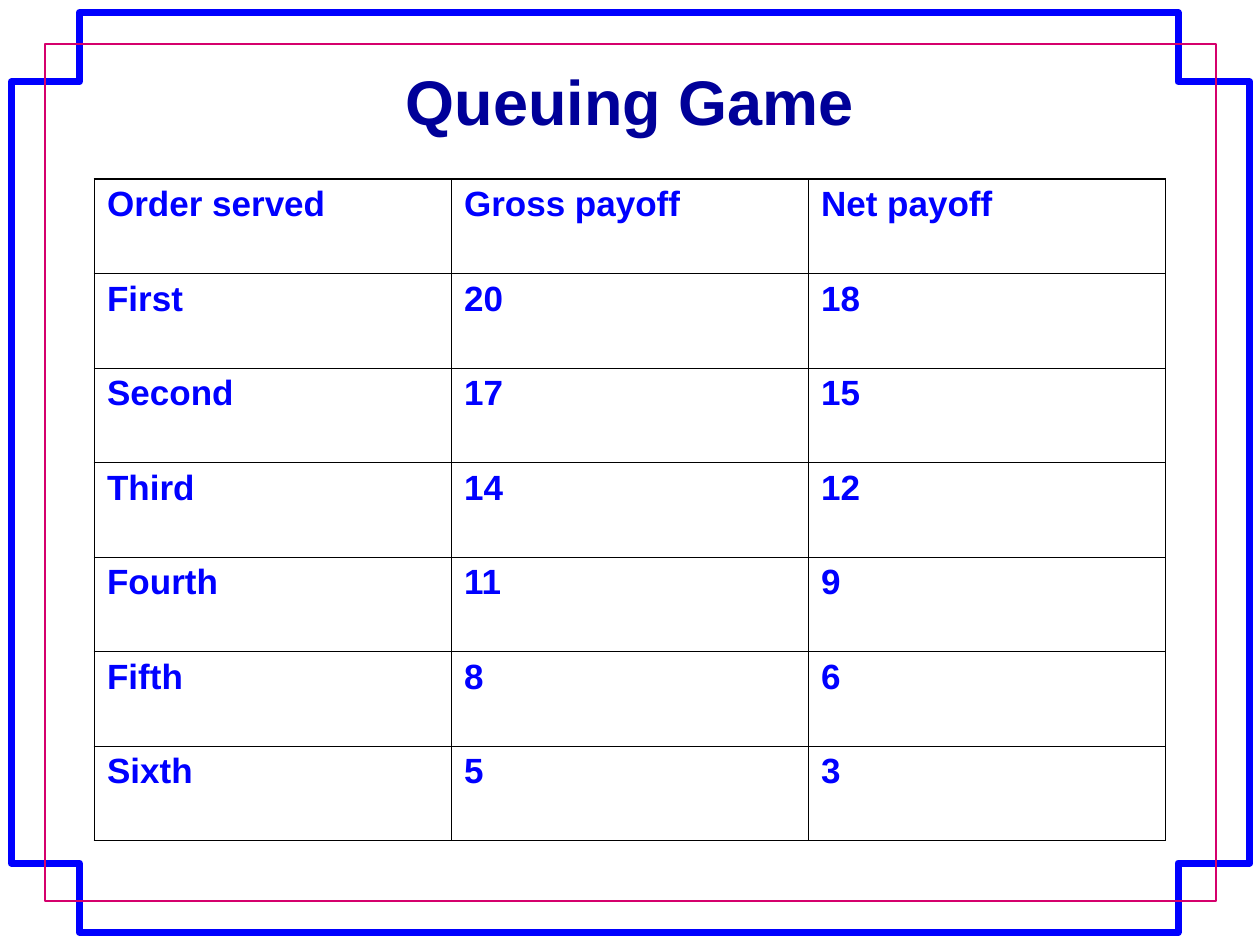
import lxml.etree
import pptx
import pptx.dml.color
import pptx.enum.text
import pptx.oxml.ns
import pptx.util

Inches = pptx.util.Inches
Pt = pptx.util.Pt

PAYOFFS = [
    ("Order served", "Gross payoff", "Net payoff"),
    ("First", "20", "18"),
    ("Second", "17", "15"),
    ("Third", "14", "12"),
    ("Fourth", "11", "9"),
    ("Fifth", "8", "6"),
    ("Sixth", "5", "3"),
]
TITLE_FONT = {"name": "Arial", "size": Pt(36), "bold": True}
CELL_FONT = {"name": "Arial", "size": Pt(20), "bold": True}
TITLE_FRAME = {
    "word_wrap": True,
    "vertical_anchor": pptx.enum.text.MSO_ANCHOR.MIDDLE,
}
OUTER_WIDTH = 1.08
INNER_WIDTH = 0.45


def rgb(value):
    return pptx.dml.color.RGBColor.from_string(value)


def apply_format(target, values):
    for name, value in values.items():
        setattr(target, name, value)


def write_text(para, text, font_format, color):
    span = para.add_run()
    span.text = text
    apply_format(span.font, font_format)
    span.font.color.rgb = rgb(color)


def add_outline(page, points, color, width):
    corners = [(Inches(x), Inches(y)) for x, y in points]
    builder = page.shapes.build_freeform(*corners[0])
    builder.add_line_segments(corners[1:], close=True)
    outline = builder.convert_to_shape()
    outline.shadow.inherit = False
    outline.fill.background()
    outline.line.color.rgb = rgb(color)
    outline.line.width = Pt(width)


def add_title(page, text):
    box = page.shapes.add_textbox(Inches(0.75), Inches(0.42), Inches(8.5), Inches(0.75))
    apply_format(box.text_frame, TITLE_FRAME)
    para = box.text_frame.paragraphs[0]
    para.alignment = pptx.enum.text.PP_ALIGN.CENTER
    write_text(para, text, TITLE_FONT, "000099")


def set_borders(cell, widths):
    properties = cell._tc.get_or_add_tcPr()
    qn = pptx.oxml.ns.qn
    for side, width in widths.items():
        line = lxml.etree.SubElement(properties, qn(f"a:ln{side}"), w=str(int(Pt(width))))
        fill = lxml.etree.SubElement(line, qn("a:solidFill"))
        lxml.etree.SubElement(fill, qn("a:srgbClr"), val="000000")


def add_payoff_table(page, rows):
    row_count, column_count = len(rows), len(rows[0])
    frame = page.shapes.add_table(
        row_count, column_count, Inches(0.75), Inches(1.42), Inches(8.5), Inches(5.25)
    )
    table = frame.table
    apply_format(table, {"first_row": False, "horz_banding": False})
    for row, texts in enumerate(rows):
        for column, text in enumerate(texts):
            cell = table.cell(row, column)
            on_edge = {
                "L": column == 0,
                "R": column == column_count - 1,
                "T": row == 0,
                "B": row == row_count - 1,
            }
            set_borders(
                cell,
                {side: OUTER_WIDTH if edge else INNER_WIDTH for side, edge in on_edge.items()},
            )
            cell.fill.background()
            write_text(cell.text_frame.paragraphs[0], text, CELL_FONT, "0000FF")


def main():
    deck = pptx.Presentation()
    deck.slide_width = Inches(10)
    deck.slide_height = Inches(7.5)
    page = deck.slides.add_slide(deck.slide_layouts[6])

    notched_frame = [
        (0.09, 0.65), (0.63, 0.65), (0.63, 0.1), (9.35, 0.1),
        (9.35, 0.65), (9.92, 0.65), (9.92, 6.85), (9.35, 6.85),
        (9.35, 7.4), (0.63, 7.4), (0.63, 6.85), (0.09, 6.85),
    ]
    inner_frame = [(0.36, 0.35), (9.65, 0.35), (9.65, 7.15), (0.36, 7.15)]
    add_outline(page, notched_frame, "0000FF", 4)
    add_outline(page, inner_frame, "D5006C", 1)
    add_title(page, "Queuing Game")
    add_payoff_table(page, PAYOFFS)
    deck.save("out.pptx")


if __name__ == "__main__":
    main()
